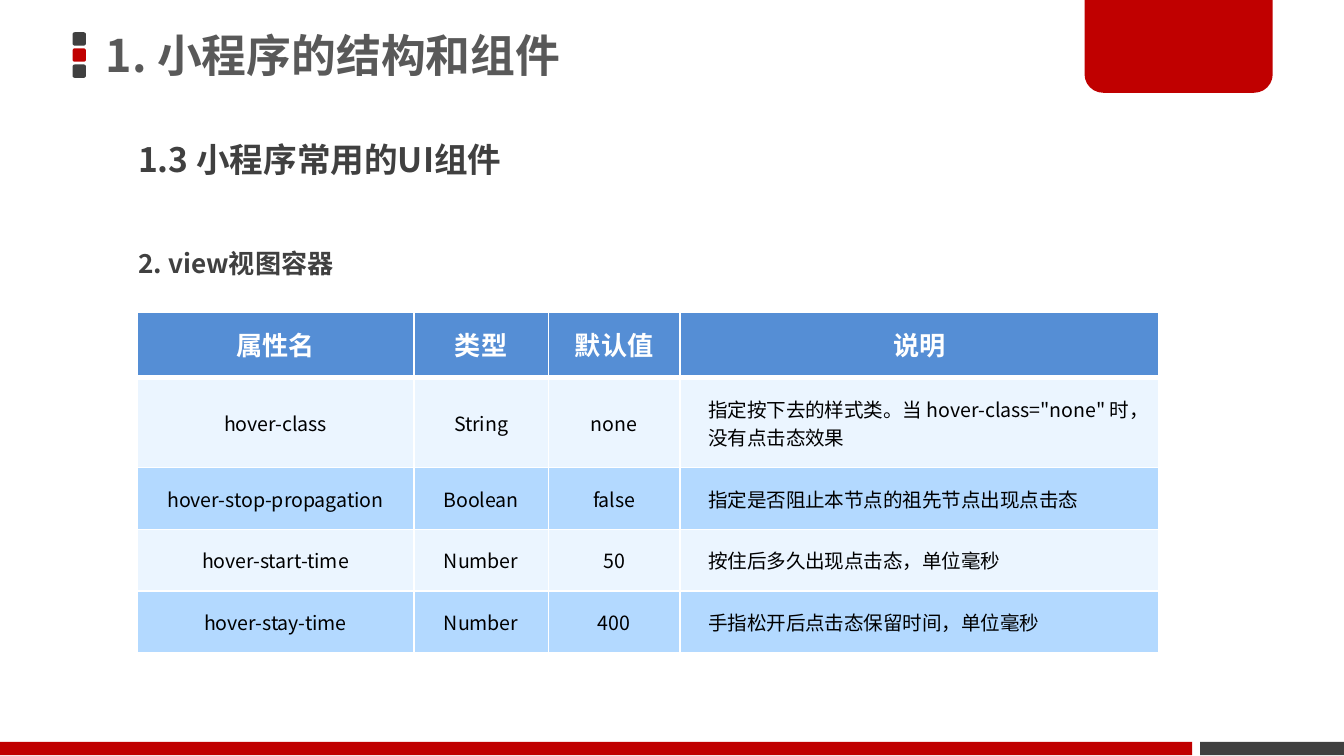
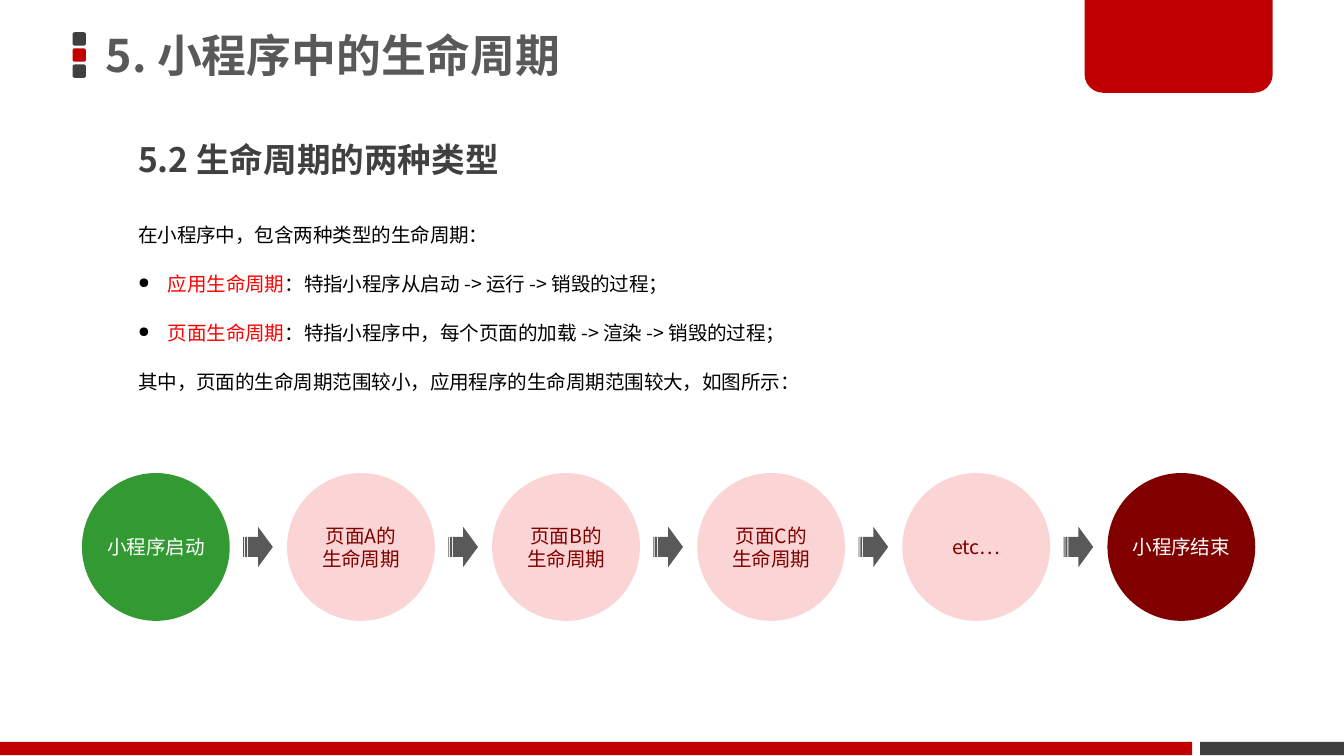
from lxml.etree import SubElement
from pptx import Presentation
from pptx.dml.color import RGBColor
from pptx.enum.shapes import MSO_SHAPE as SHAPE
from pptx.enum.text import MSO_ANCHOR as ANCHOR, PP_ALIGN as ALIGN
from pptx.oxml.ns import qn
from pptx.util import Inches, Pt

FONT = "Noto Sans CJK SC"
HARD_SPACE = chr(160)
COLORS = {
    "red": "C00000", "dark": "404040", "gray": "595959", "black": "000000",
    "white": "FFFFFF", "accent": "FF0000", "header": "558ED5",
    "light_row": "EBF5FF", "blue_row": "B3D9FF", "start": "339933",
    "page": "FBD5D5", "end": "800000",
}
TITLE = {"size": Pt(24), "bold": True, "color": "gray"}
SECTION = {"size": Pt(18), "bold": True, "color": "dark"}
SUBHEAD = {"size": Pt(14), "bold": True, "color": "dark"}
TABLE_HEAD = {"size": Pt(14), "bold": True, "color": "white"}
BODY = {"size": Pt(10.5), "bold": False, "color": "black"}
ACCENT = {**BODY, "color": "accent"}
ON_DARK = {**BODY, "color": "white"}
ON_PAGE = {**BODY, "color": "end"}

ATTRIBUTES = [
    ["属性名", "类型", "默认值", "说明"],
    ["hover-class", "String", "none",
     HARD_SPACE.join(["指定按下去的样式类。当", 'hover-class="none"', "时，没有点击态效果"])],
    ["hover-stop-propagation", "Boolean", "false", "指定是否阻止本节点的祖先节点出现点击态"],
    ["hover-start-time", "Number", "50", "按住后多久出现点击态，单位毫秒"],
    ["hover-stay-time", "Number", "400", "手指松开后点击态保留时间，单位毫秒"],
]
COLUMN_WIDTHS = [2.06, 1, 0.98, 3.56]
ROW_HEIGHTS = [0.49, 0.67, 0.46, 0.46, 0.46]

LIFECYCLE_TEXT = [
    (False, [("在小程序中，包含两种类型的生命周期：", BODY)]),
    (True, [("应用生命周期", ACCENT), ("：特指小程序从启动 -> 运行 -> 销毁的过程；", BODY)]),
    (True, [("页面生命周期", ACCENT),
            ("：特指小程序中，每个页面的加载 -> 渲染 -> 销毁的过程；", BODY)]),
    (False, [("其中，页面的生命周期范围较小，应用程序的生命周期范围较大，如图所示：", BODY)]),
]
STAGES = [
    ("start", ON_DARK, ["小程序启动"]),
    *[("page", ON_PAGE, [f"页面{page}的", "生命周期"]) for page in "ABC"],
    ("page", ON_PAGE, ["etc…"]),
    ("end", ON_DARK, ["小程序结束"]),
]


def rgb(color):
    return RGBColor.from_string(COLORS[color])


def set_all(target, values):
    for key, value in values.items():
        setattr(target, key, value)


def write_run(paragraph, text, style):
    run = paragraph.add_run()
    run.text = text
    set_all(run.font, {"name": FONT, "size": style["size"], "bold": style["bold"]})
    run.font.color.rgb = rgb(style["color"])
    SubElement(run.font._element, qn("a:ea"), typeface=FONT)


def add_bullet(paragraph):
    properties = paragraph._p.get_or_add_pPr()
    properties.set("marL", str(Inches(0.22)))
    properties.set("indent", str(-Inches(0.22)))
    bullet_color = SubElement(properties, qn("a:buClr"))
    SubElement(bullet_color, qn("a:srgbClr"), val=COLORS["black"])
    SubElement(properties, qn("a:buSzPct"), val="75000")
    SubElement(properties, qn("a:buChar"), char="●")


def write_paragraphs(frame, paragraphs, **layout):
    for index, (bulleted, runs) in enumerate(paragraphs):
        paragraph = frame.add_paragraph() if index else frame.paragraphs[0]
        if bulleted:
            add_bullet(paragraph)
        set_all(paragraph, layout)
        if not index:
            paragraph.space_before = Pt(0)
        for text, style in runs:
            write_run(paragraph, text, style)


def add_text(slide, box, paragraphs, anchor=ANCHOR.TOP, **layout):
    frame = slide.shapes.add_textbox(*map(Inches, box)).text_frame
    set_all(frame, {"word_wrap": True, "vertical_anchor": anchor})
    write_paragraphs(frame, paragraphs, **layout)


def add_heading(slide, box, text, style, anchor=ANCHOR.TOP):
    add_text(slide, box, [(False, [(text, style)])], anchor, line_spacing=0.9)


def add_filled(slide, kind, box, color, adjustments=()):
    shape = slide.shapes.add_shape(kind, *map(Inches, box))
    shape.shadow.inherit = False
    shape.fill.solid()
    shape.fill.fore_color.rgb = rgb(color)
    shape.line.fill.background()
    for index, value in enumerate(adjustments):
        shape.adjustments[index] = value


def add_frame_slide(deck, title, section):
    slide = deck.slides.add_slide(deck.slide_layouts[6])
    for index, color in enumerate(["dark", "red", "dark"]):
        add_filled(slide, SHAPE.ROUNDED_RECTANGLE,
                   (0.54, 0.24 + 0.12 * index, 0.1, 0.1), color)
    add_filled(slide, SHAPE.RECTANGLE, (8.93, 5.52, 1.07, 0.1), "dark")
    add_filled(slide, SHAPE.ROUND_2_SAME_RECTANGLE, (8.07, 0, 1.4, 0.69), "red", (0, 0.2))
    add_filled(slide, SHAPE.RECTANGLE, (0, 5.52, 8.87, 0.1), "red")
    add_heading(slide, (0.69, 0, 7.37, 0.87), title, TITLE, ANCHOR.MIDDLE)
    add_heading(slide, (0.93, 1.02, 7.1, 0.59), section, SECTION)
    return slide


def add_borders(cell, widths):
    properties = cell._tc.get_or_add_tcPr()
    for side, width in zip("LRTB", widths):
        line = SubElement(properties, qn(f"a:ln{side}"), w=str(Pt(width)))
        fill = SubElement(line, qn("a:solidFill"))
        SubElement(fill, qn("a:srgbClr"), val=COLORS["white"])


def fill_cell(cell, text, row, column):
    header = row == 0
    side, edge = (0.1, 0.05) if header else (0.21, 0.12)
    set_all(cell, {
        "margin_left": Inches(side), "margin_right": Inches(side),
        "margin_top": Inches(edge), "margin_bottom": Inches(edge),
        "vertical_anchor": ANCHOR.TOP if header else ANCHOR.MIDDLE,
    })
    add_borders(cell, (1, 1, 3 if row == 1 else 1, 3 if header else 1))
    cell.fill.solid()
    cell.fill.fore_color.rgb = rgb(
        "header" if header else "light_row" if row % 2 else "blue_row")
    description = column == len(COLUMN_WIDTHS) - 1 and not header
    write_paragraphs(
        cell.text_frame, [(False, [(text, TABLE_HEAD if header else BODY)])],
        alignment=ALIGN.LEFT if description else ALIGN.CENTER,
        line_spacing=Pt(24) if header else 1.0)


def add_attribute_table(slide):
    box = (1.02, 2.32, sum(COLUMN_WIDTHS), sum(ROW_HEIGHTS))
    table = slide.shapes.add_table(
        len(ROW_HEIGHTS), len(COLUMN_WIDTHS), *map(Inches, box)).table
    table.horz_banding = False
    for column, width in zip(table.columns, COLUMN_WIDTHS):
        column.width = Inches(width)
    for row, height in zip(table.rows, ROW_HEIGHTS):
        row.height = Inches(height)
    for row, values in enumerate(ATTRIBUTES):
        for column, text in enumerate(values):
            fill_cell(table.cell(row, column), text, row, column)


def add_stage(slide, left, color, style, lines):
    top, diameter, label_width = 3.52, 1.1, 1.42
    add_filled(slide, SHAPE.OVAL, (left, top, diameter, diameter), color)
    label_height = 0.11 + 0.17 * len(lines)
    label_box = (left + (diameter - label_width) / 2,
                 top + (diameter - label_height) / 2, label_width, label_height)
    add_text(slide, label_box, [(False, [(line, style)]) for line in lines],
             ANCHOR.MIDDLE, alignment=ALIGN.CENTER)


def add_lifecycle_flow(slide):
    first_left, last_left = 0.61, 8.24
    pitch = (last_left - first_left) / (len(STAGES) - 1)
    for index, (color, style, lines) in enumerate(STAGES):
        left = first_left + pitch * index
        add_stage(slide, left, color, style, lines)
        if index < len(STAGES) - 1:
            add_filled(slide, SHAPE.STRIPED_RIGHT_ARROW,
                       (left + 1.2, 3.92, 0.22, 0.3), "gray")


def main():
    deck = Presentation()
    width = Inches(10)
    set_all(deck, {"slide_width": width, "slide_height": width * 9 // 16})

    view_slide = add_frame_slide(deck, "1. 小程序的结构和组件", "1.3 小程序常用的UI组件")
    add_heading(view_slide, (0.93, 1.82, 7.13, 0.59), "2. view视图容器", SUBHEAD)
    add_attribute_table(view_slide)

    lifecycle_slide = add_frame_slide(deck, "5. 小程序中的生命周期", "5.2 生命周期的两种类型")
    add_text(lifecycle_slide, (0.93, 1.52, 7.37, 1.53), LIFECYCLE_TEXT,
             line_spacing=1.5, space_before=Pt(7.5))
    add_lifecycle_flow(lifecycle_slide)

    deck.save("out.pptx")


if __name__ == "__main__":
    main()
